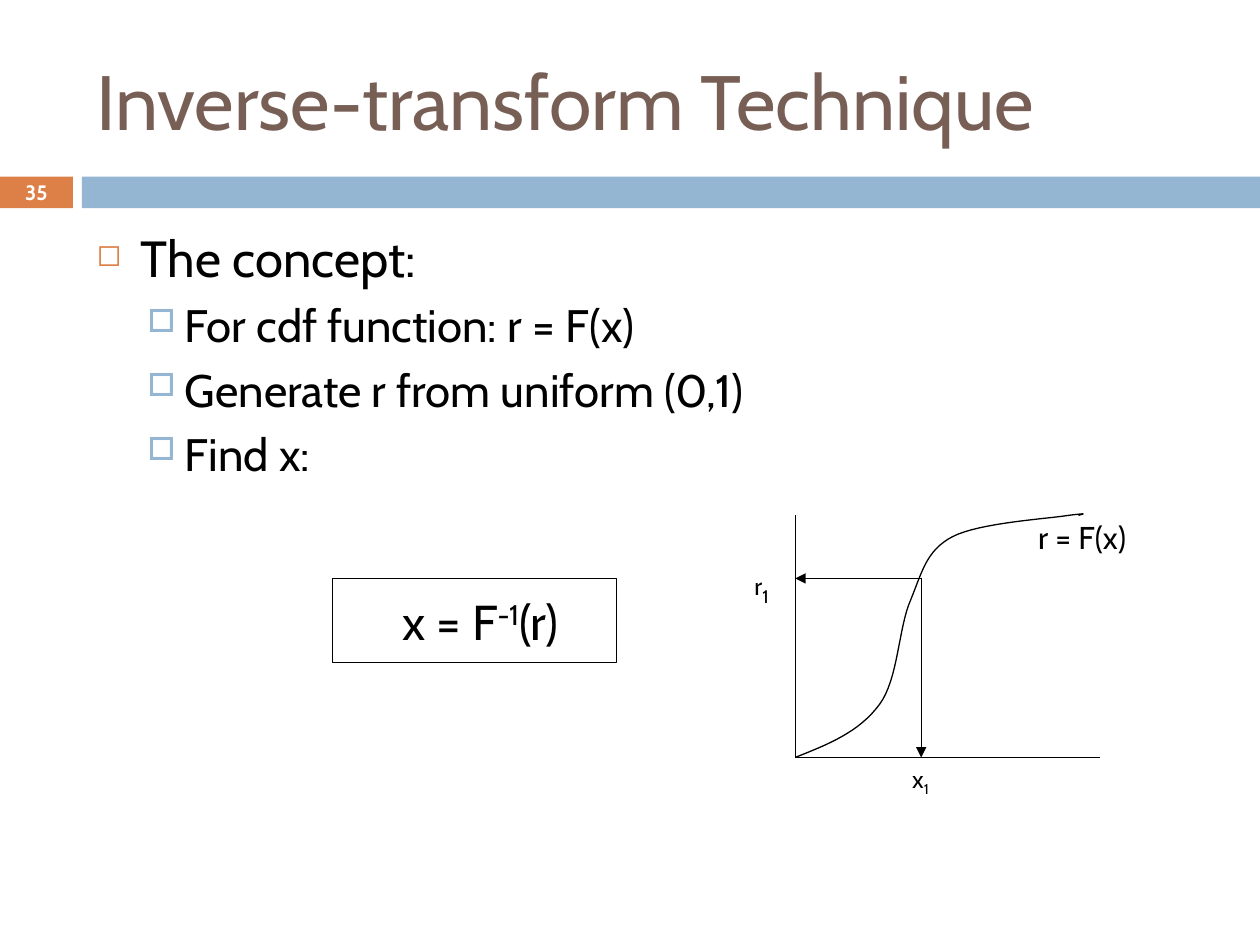
import pptx
import pptx.util
import pptx.dml.color
import pptx.enum.shapes
import pptx.enum.text
import pptx.oxml.ns
import lxml.etree

Cm = pptx.util.Cm
Pt = pptx.util.Pt
ALIGN = pptx.enum.text.PP_ALIGN
ANCHOR = pptx.enum.text.MSO_ANCHOR
FONT = "Cabin"
BLACK, WHITE, BROWN = "000000", "FFFFFF", "775F55"
ORANGE, BLUE = "DD8047", "94B6D2"
LEFT, BASE, TOP, RIGHT = 16.03, 15.27, 10.39, 22.17
MARK_X, MARK_Y = 18.57, 11.66
CURVE = [
    (LEFT, BASE), (16.69, 15.01), (17.32, 14.76), (17.73, 14.2),
    (18.11, 13.69), (18.11, 12.65), (18.36, 12.09),
    (18.59, 11.53), (18.67, 11.1), (19.2, 10.82),
    (19.74, 10.54), (21.11, 10.46), (21.54, 10.39),
    (21.95, 10.34), (21.84, 10.36), (21.74, 10.39),
]


def color(code):
    """Turn a hex string into a colour."""
    return pptx.dml.color.RGBColor.from_string(code)


def node(parent, tag, **attrs):
    """Append a drawing element to a parent."""
    item = lxml.etree.SubElement(parent, pptx.oxml.ns.qn(tag))
    for name, value in attrs.items():
        item.set(name, str(value))
    return item


def style(run, size, code=BLACK, bold=False, shift=0):
    """Format one run of text."""
    font = run.font
    font.name, font.size, font.bold = FONT, Pt(size), bold
    font.color.rgb = color(code)
    if shift:
        run._r.get_or_add_rPr().set("baseline", str(shift * 1000))


def write(para, parts, code=BLACK, bold=False):
    """Fill a paragraph with parts of text, size and baseline shift."""
    for text, size, shift in parts:
        run = para.add_run()
        run.text = text
        style(run, size, code, bold, shift)


def label(slide, place, parts, code=BLACK, anchor=ANCHOR.TOP,
          align=ALIGN.LEFT, bold=False):
    """Add a text box with one paragraph."""
    frame = slide.shapes.add_textbox(*map(Cm, place)).text_frame
    frame.word_wrap = True
    frame.vertical_anchor = anchor
    frame.paragraphs[0].alignment = align
    write(frame.paragraphs[0], parts, code, bold)
    return frame


def block(slide, place, fill=None, line=None):
    """Add a rectangle with a fill or an outline."""
    kind = pptx.enum.shapes.MSO_SHAPE.RECTANGLE
    shape = slide.shapes.add_shape(kind, *map(Cm, place))
    shape.shadow.inherit = False
    if fill:
        shape.fill.solid()
        shape.fill.fore_color.rgb = color(fill)
    else:
        shape.fill.background()
    if line:
        shape.line.color.rgb = color(line)
        shape.line.width = Pt(0.75)
    else:
        shape.line.fill.background()
    return shape


def line(slide, start, end, arrow=False):
    """Draw a thin black line, with an arrow at its end if asked."""
    kind = pptx.enum.shapes.MSO_CONNECTOR.STRAIGHT
    item = slide.shapes.add_connector(kind, *map(Cm, start + end))
    item.line.color.rgb = color(BLACK)
    item.line.width = Pt(0.75)
    if arrow:
        node(item.line._get_or_add_ln(), "a:tailEnd", type="triangle")
    node(item._element.spPr, "a:effectLst")


def bend(points, steps=16):
    """Sample a chain of cubic curves as a list of points."""
    path = [points[0]]
    for first in range(0, len(points) - 1, 3):
        quad = points[first:first + 4]
        for step in range(1, steps + 1):
            t = step / steps
            u = 1 - t
            parts = (u ** 3, 3 * u * u * t, 3 * u * t * t, t ** 3)
            path.append(tuple(
                sum(part * point[axis] for part, point in zip(parts, quad))
                for axis in (0, 1)))
    return path


def curve(slide, points):
    """Draw a smooth open outline."""
    path = [(Cm(x), Cm(y)) for x, y in bend(points)]
    maker = slide.shapes.build_freeform(*path[0])
    maker.add_line_segments(path[1:], close=False)
    shape = maker.convert_to_shape()
    shape.shadow.inherit = False
    shape.fill.background()
    shape.line.color.rgb = color(BLACK)
    shape.line.width = Pt(0.75)


def bullet(para, mark, code, scale, left, hang):
    """Give a paragraph a hanging bullet."""
    props = para._p.get_or_add_pPr()
    props.set("marL", str(Cm(left)))
    props.set("indent", str(-Cm(hang)))
    node(node(props, "a:buClr"), "a:srgbClr", val=code)
    node(props, "a:buSzPct", val=scale * 1000)
    node(props, "a:buChar", char=mark)


def body(slide):
    """Write the bulleted list."""
    frame = label(slide, (1.7, 4.45, 22.66, 12.5),
                  [("The concept:", 29, 0)])
    bullet(frame.paragraphs[0], "◻", ORANGE, 60, 0.89, 0.89)
    for text in ("For cdf function: r = F(x)",
                 "Generate r from uniform (0,1)", "Find x:"):
        para = frame.add_paragraph()
        para.level = 1
        para.space_before = Pt(5.5)
        bullet(para, "□", BLUE, 70, 1.78, 0.76)
        write(para, [(text, 26, 0)])


def graph(slide):
    """Draw the axes, the arrows, the curve and their labels."""
    mark = (MARK_X, MARK_Y)
    line(slide, (LEFT, TOP), (LEFT, BASE))
    line(slide, (LEFT, BASE), (RIGHT, BASE))
    line(slide, mark, (LEFT, MARK_Y), arrow=True)
    line(slide, mark, (MARK_X, BASE), arrow=True)
    label(slide, (14.96, 11.25, 1.07, 0.84), [("r", 14, 0), ("1", 18, -25)])
    label(slide, (18.14, BASE, 1.27, 0.84), [("x", 14, 0), ("1", 14, -25)])
    label(slide, (20.68, 10.31, 2.74, 0.94), [("r = F(x)", 18, 0)])
    curve(slide, CURVE)


def main():
    """Build the slide and save it."""
    deck = pptx.Presentation()
    deck.slide_width, deck.slide_height = Cm(25.4), Cm(19.05)
    slide = deck.slides.add_slide(deck.slide_layouts[6])
    block(slide, (0, 3.56, 1.47, 0.64), fill=ORANGE)
    block(slide, (1.65, 3.56, 23.75, 0.64), fill=BLUE)
    label(slide, (1.7, 0.64, 22.66, 2.74),
          [("Inverse-transform Technique", 44, 0)], BROWN, ANCHOR.MIDDLE)
    page = label(slide, (0, 3.53, 1.47, 0.69), [("35", 11.9, 0)], WHITE,
                 ANCHOR.MIDDLE, ALIGN.CENTER, bold=True)
    page.margin_top = page.margin_bottom = 0
    body(slide)
    graph(slide)
    frame = block(slide, (6.71, MARK_Y, 5.72, 1.7), line=BLACK).text_frame
    frame.word_wrap = False
    frame.vertical_anchor = ANCHOR.MIDDLE
    frame.paragraphs[0].alignment = ALIGN.CENTER
    write(frame.paragraphs[0],
          [(" x = F", 28, 0), ("-1", 28, 30), ("(r)", 28, 0)])
    deck.save("out.pptx")


if __name__ == "__main__":
    main()
